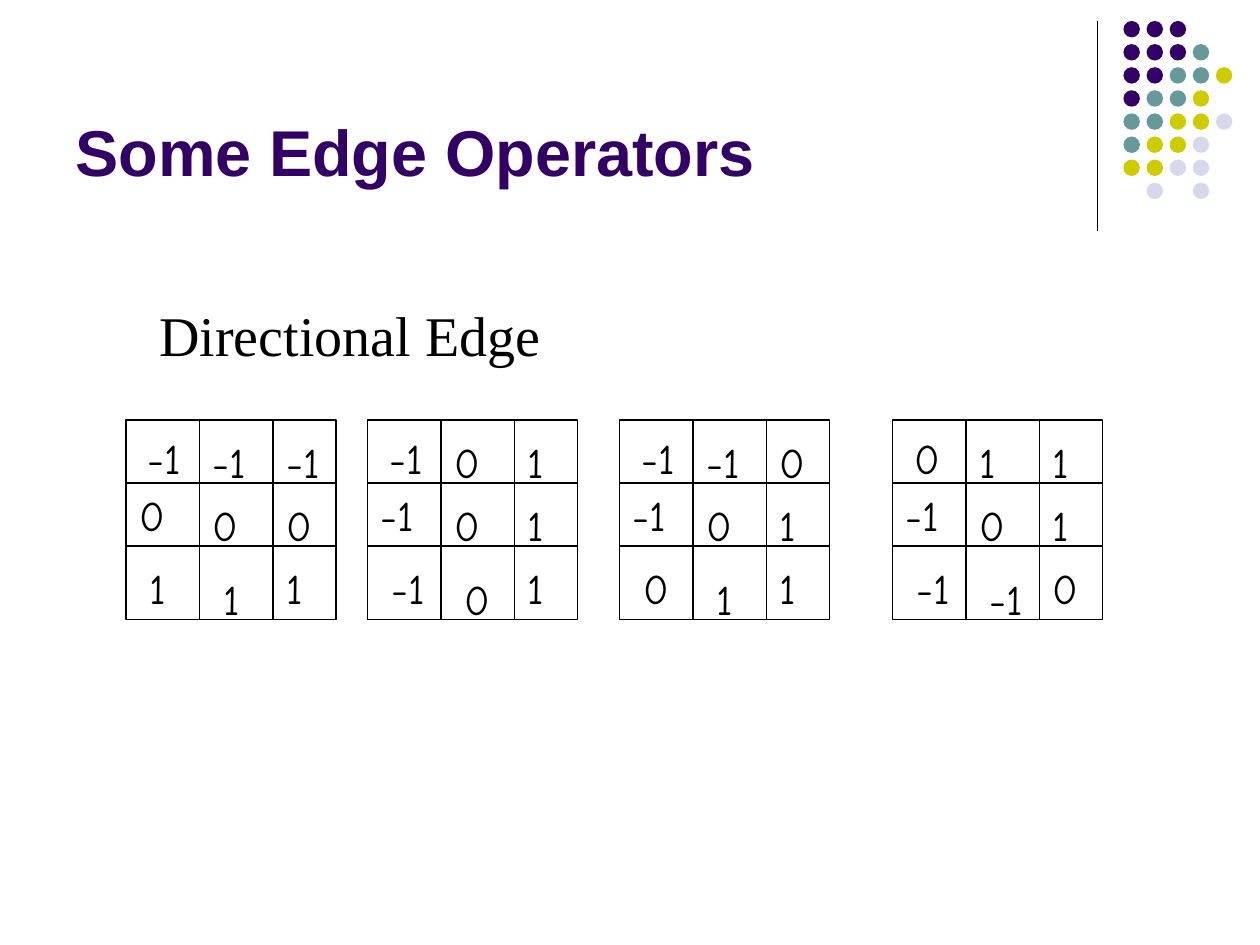
"""Build the slide on directional edge operators with four 3 x 3 masks."""
from lxml.etree import SubElement
from pptx import Presentation
from pptx.dml.color import RGBColor
from pptx.enum.shapes import MSO_CONNECTOR, MSO_SHAPE
from pptx.enum.text import MSO_ANCHOR
from pptx.oxml.ns import qn
from pptx.util import Pt

COLORS = {"P": "330066", "T": "669999", "Y": "CCCC00", "L": "D8D8EC", "ink": "000000"}
FORMATS = {
    "title": {"name": "Arial", "size": Pt(37), "bold": True},
    "subtitle": {"name": "Times New Roman", "size": Pt(32)},
    "weight": {"name": "Comic Neue", "size": Pt(24)},
}


def add_rule(x1, y1, x2, y2):
    rule = slide.shapes.add_connector(MSO_CONNECTOR.STRAIGHT, Pt(x1), Pt(y1), Pt(x2), Pt(y2))
    rule.line.color.rgb = RGBColor.from_string(COLORS["ink"])
    rule.line.width = Pt(0.75)
    SubElement(rule.element.spPr, qn("a:effectLst"))


def add_text(text, left, top, width, height, style, color="ink", **frame_values):
    frame = slide.shapes.add_textbox(Pt(left), Pt(top), Pt(width), Pt(height)).text_frame
    frame.word_wrap = True
    for attribute, value in frame_values.items():
        setattr(frame, attribute, value)
    paragraph = frame.paragraphs[0]
    paragraph.text = text
    for attribute, value in FORMATS[style].items():
        setattr(paragraph.font, attribute, value)
    paragraph.font.color.rgb = RGBColor.from_string(COLORS[color])


presentation = Presentation()
presentation.slide_width, presentation.slide_height = Pt(720), Pt(540)
slide = presentation.slides.add_slide(presentation.slide_layouts[6])

add_rule(627, 12, 627, 132)

dot_rows = ["PPP", "PPPT", "PPTTY", "PTTY", "TTYYL", "TYYL", "YYLL", " L L"]
dot_pitch, dot_size = 13.2, 9.4
for row, dots in enumerate(dot_rows):
    for column, key in enumerate(dots):
        if key == " ":
            continue
        dot = slide.shapes.add_shape(
            MSO_SHAPE.OVAL, Pt(642 + column * dot_pitch), Pt(12 + row * dot_pitch),
            Pt(dot_size), Pt(dot_size))
        dot.shadow.inherit = False
        dot.fill.solid()
        dot.fill.fore_color.rgb = RGBColor.from_string(COLORS[key])
        dot.line.fill.background()

add_text("Some Edge Operators", 36, 9.5, 594, 102.5, "title", "P",
         vertical_anchor=MSO_ANCHOR.BOTTOM)

masks = {
    72: [["-1", "-1", "-1"], ["0", "0", "0"], ["1", "1", "1"]],
    210: [["-1", "0", "1"], ["-1", "0", "1"], ["-1", "0", "1"]],
    354: [["-1", "-1", "0"], ["-1", "0", "1"], ["0", "1", "1"]],
    510: [["0", "1", "1"], ["-1", "0", "1"], ["-1", "-1", "0"]],
}
mask_top, mask_width, mask_height = 240, 120, 114
weight_offsets = [
    [(5.5, 3.5), (42.5, 6), (84.5, 6)],
    [(0.5, 36), (42.5, 42), (84.5, 42)],
    [(6.5, 78), (48.5, 84), (84.5, 78)],
]
weight_widths = {"-1": 33, "0": 29, "1": 24}

for mask_left, weights in masks.items():
    border = slide.shapes.add_shape(
        MSO_SHAPE.RECTANGLE, Pt(mask_left), Pt(mask_top), Pt(mask_width), Pt(mask_height))
    border.shadow.inherit = False
    border.fill.background()
    border.line.color.rgb = RGBColor.from_string(COLORS["ink"])
    border.line.width = Pt(0.75)
    for step in (1, 2):
        x, y = mask_left + 42 * step, mask_top + 36 * step
        add_rule(x, mask_top, x, mask_top + mask_height)
        add_rule(mask_left, y, mask_left + mask_width, y)
    for weight_row, offset_row in zip(weights, weight_offsets):
        for weight, (dx, dy) in zip(weight_row, offset_row):
            add_text(weight, mask_left + dx, mask_top + dy, weight_widths[weight], 36, "weight",
                     margin_right=0)

add_text("Directional Edge", 84, 168, 240, 46, "subtitle")

presentation.save("out.pptx")
